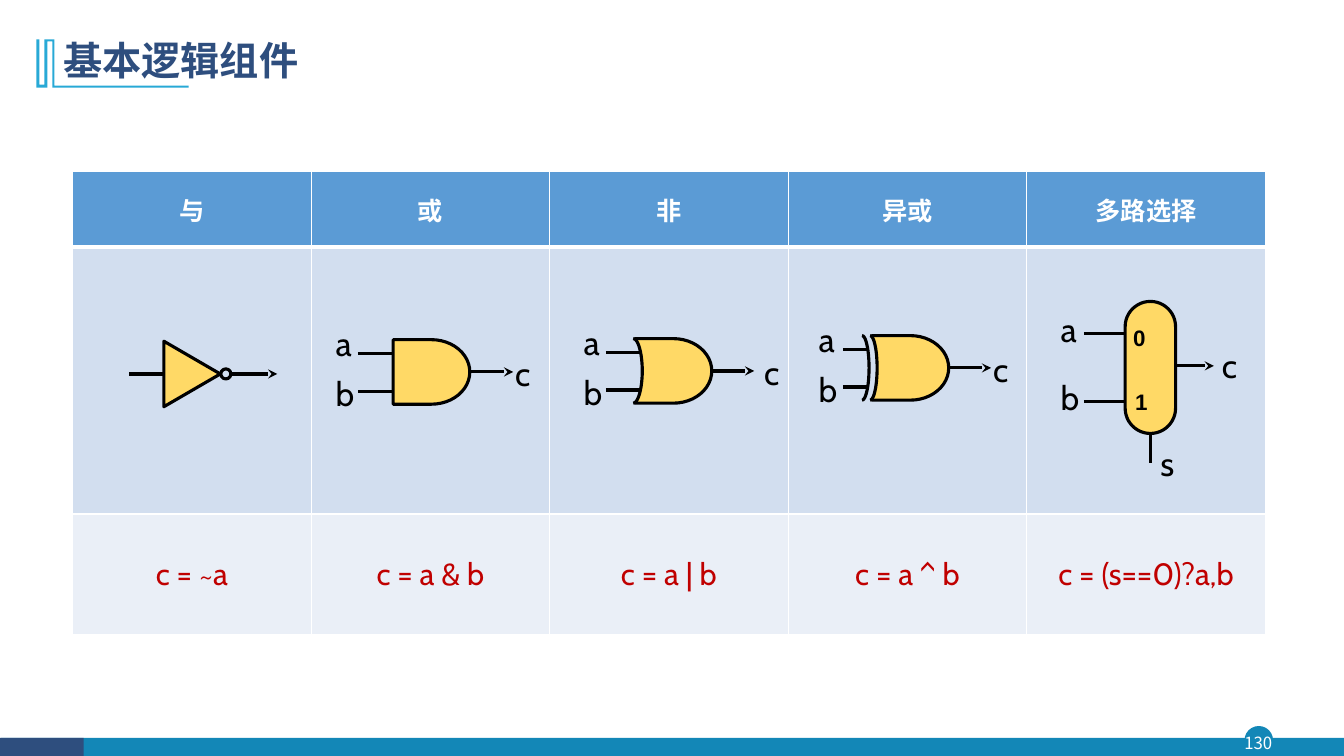
from math import cos, pi, sin

from lxml.etree import SubElement
from pptx import Presentation
from pptx.dml.color import RGBColor
from pptx.enum.shapes import MSO_CONNECTOR, MSO_SHAPE
from pptx.enum.text import MSO_ANCHOR, MSO_AUTO_SIZE, PP_ALIGN
from pptx.oxml.ns import qn
from pptx.util import Pt

PX = 9144
SANS, CABIN, ARIAL = "Noto Sans CJK SC", "Cabin", "Arial"
BLACK = RGBColor(0x00, 0x00, 0x00)
WHITE = RGBColor(0xFF, 0xFF, 0xFF)
TEAL = RGBColor(0x13, 0x87, 0xB7)
NAVY = RGBColor(0x2E, 0x4E, 0x7E)
CYAN = RGBColor(0x28, 0xA9, 0xD6)
HEADER = RGBColor(0x5B, 0x9B, 0xD5)
BAND = RGBColor(0xD2, 0xDE, 0xEF)
PALE = RGBColor(0xEA, 0xEF, 0xF7)
RED = RGBColor(0xC0, 0x00, 0x00)
GOLD = RGBColor(0xFF, 0xD9, 0x66)

ICON = [(54, 39), (54, 85), (187, 85), (187, 87), (52, 87), (52, 41), (47, 41),
        (47, 87), (36, 87), (36, 39), (39, 39), (39, 84), (44, 84), (44, 39)]
COLUMNS = [("与", "c = ~a"), ("或", "c = a & b"), ("非", "c = a | b"),
           ("异或", "c = a ^ b"), ("多路选择", "c = (s==0)?a,b")]
LABEL_WIDTHS = {"a": 38, "b": 41, "s": 35}


def style(p, size, name, color, bold=False, align=None):
    f = p.font
    f.size, f.name, f.bold = Pt(size), name, bold
    f.color.rgb = color
    SubElement(p._p.pPr.defRPr, qn("a:ea"), typeface=name)
    if align is not None:
        p.alignment = align


def paint(sp, fill, line=None, width=2.25):
    sp.shadow.inherit = False
    if fill is None:
        sp.fill.background()
    else:
        sp.fill.solid()
        sp.fill.fore_color.rgb = fill
    if line is None:
        sp.line.fill.background()
    else:
        sp.line.color.rgb = line
        sp.line.width = Pt(width)


def shape(s, kind, x, y, w, h, fill, line=None, width=2.25):
    sp = s.shapes.add_shape(kind, x * PX, y * PX, w * PX, h * PX)
    paint(sp, fill, line, width)
    return sp


def text(s, x, y, w, h, words, size, name, color, bold=False, align=None,
         inset=True, wrap=True, spacing=None, anchor=MSO_ANCHOR.TOP, grow=False):
    tf = s.shapes.add_textbox(x * PX, y * PX, w * PX, h * PX).text_frame
    tf.word_wrap = wrap
    tf.vertical_anchor = anchor
    if grow:
        tf.auto_size = MSO_AUTO_SIZE.SHAPE_TO_FIT_TEXT
    if not inset:
        tf.margin_left = tf.margin_top = tf.margin_right = tf.margin_bottom = 0
    p = tf.paragraphs[0]
    p.text = words
    if spacing:
        p.line_spacing = spacing
    style(p, size, name, color, bold, align)


def label(s, x, y, letter):
    text(s, x, y, LABEL_WIDTHS[letter], 50, letter, 24, CABIN, BLACK,
         wrap=False, grow=True)


def output_label(s, x, y):
    text(s, x, y, 20, 44, "c", 24, CABIN, BLACK, inset=False, spacing=1.2, grow=True)


def digit(s, x, y, value):
    text(s, x, y, 20, 29, value, 16, ARIAL, BLACK, True, PP_ALIGN.CENTER,
         inset=False, spacing=1.2, grow=True)


def wire(s, x1, y1, x2, y2, arrow=False, source=None, side=3):
    c = s.shapes.add_connector(MSO_CONNECTOR.STRAIGHT,
                               x1 * PX, y1 * PX, x2 * PX, y2 * PX)
    c.line.color.rgb = BLACK
    c.line.width = Pt(2.25)
    if arrow:
        SubElement(c.line._get_or_add_ln(), qn("a:tailEnd"), type="stealth")
    SubElement(c._element.spPr, qn("a:effectLst"))
    if source is not None:
        c.begin_connect(source, side)


def back_curve(s, x, y, w, h, steps=24):
    angles = [pi * i / steps for i in range(steps + 1)]
    points = [((x + w * sin(t)) * PX, (y + h * (1 - cos(t)) / 2) * PX) for t in angles]
    fb = s.shapes.build_freeform(*points[0])
    fb.add_line_segments(points[1:], close=False)
    paint(fb.convert_to_shape(), BAND, BLACK)


def frame(s):
    shape(s, MSO_SHAPE.OVAL, 1235, 721, 27, 27, TEAL, TEAL, 1)
    shape(s, MSO_SHAPE.RECTANGLE, 1, 732, 1332, 19, TEAL)
    shape(s, MSO_SHAPE.RECTANGLE, 0, 732, 83, 19, NAVY)
    text(s, 1232, 721, 32, 31, "130", 12, SANS, WHITE, align=PP_ALIGN.CENTER,
         inset=False, anchor=MSO_ANCHOR.MIDDLE)
    fb = s.shapes.build_freeform(*ICON[0], scale=PX)
    fb.add_line_segments(ICON[1:])
    paint(fb.convert_to_shape(), CYAN)
    text(s, 53, 28, 310, 68, "基本逻辑组件", 28, SANS, NAVY, True,
         spacing=0.9, anchor=MSO_ANCHOR.MIDDLE)


def border(cell, widths):
    tcPr = cell._tc.get_or_add_tcPr()
    for side, width in zip("LRTB", widths):
        ln = SubElement(tcPr, qn("a:ln" + side), w=str(Pt(width)))
        SubElement(SubElement(ln, qn("a:solidFill")), qn("a:srgbClr"), val=str(WHITE))


def logic_table(s):
    table = s.shapes.add_table(3, len(COLUMNS), 72 * PX, 170 * PX,
                               1183 * PX, 460 * PX).table
    for row, height in zip(table.rows, (75, 265, 120)):
        row.height = height * PX
    for col, (name, formula) in enumerate(COLUMNS):
        rows = [(name, HEADER, (18, SANS, WHITE, True), (1, 1, 1, 3)),
                ("", BAND, None, (1, 1, 3, 1)),
                (formula, PALE, (22, CABIN, RED, False), (1, 1, 1, 1))]
        for row, (words, fill, font, widths) in enumerate(rows):
            cell = table.cell(row, col)
            border(cell, widths)
            cell.fill.solid()
            cell.fill.fore_color.rgb = fill
            cell.vertical_anchor = MSO_ANCHOR.MIDDLE
            if words:
                p = cell.text_frame.paragraphs[0]
                p.text = words
                style(p, *font, align=PP_ALIGN.CENTER)


def inverter(s):
    wire(s, 128, 371, 163, 371)
    wire(s, 229, 371, 275, 371, arrow=True)
    shape(s, MSO_SHAPE.OVAL, 219, 366, 10, 10, None, BLACK)
    sp = shape(s, MSO_SHAPE.ISOSCELES_TRIANGLE, 158, 343, 65, 56, GOLD, BLACK)
    sp.rotation = 90


def gate(s, x, y, label_x, wire_from, wire_to, out_to, c_x, backs=()):
    body = shape(s, MSO_SHAPE.FLOWCHART_DELAY, x, y, 76, 64, GOLD, BLACK)
    for back_x, back_w in backs:
        back_curve(s, back_x, y, back_w, 64)
    for letter, wire_dy, label_dy in (("a", 14, -22), ("b", 51, 28)):
        wire(s, wire_from, y + wire_dy, wire_to, y + wire_dy)
        label(s, label_x, y + label_dy, letter)
    wire(s, x + 76, y + 32, out_to, y + 32, arrow=True, source=body)
    output_label(s, c_x, y + 5)


def multiplexer(s):
    body = shape(s, MSO_SHAPE.ROUNDED_RECTANGLE, 1116, 299, 50, 131, GOLD, BLACK)
    body.adjustments[0] = 0.5
    for letter, y in (("a", 331), ("b", 398)):
        wire(s, 1075, y, 1116, y)
        label(s, 1042, y - 29, letter)
    digit(s, 1120, 316, "0")
    digit(s, 1122, 380, "1")
    wire(s, 1166, 363, 1204, 363, arrow=True)
    output_label(s, 1212, 334)
    wire(s, 1141, 430, 1141, 459, source=body, side=2)
    label(s, 1141, 434, "s")


def main():
    prs = Presentation()
    prs.slide_width, prs.slide_height = 1333 * PX, 750 * PX
    s = prs.slides.add_slide(prs.slide_layouts[6])
    frame(s)
    logic_table(s)
    inverter(s)
    gate(s, 390, 337, 323, 355, 390, 509, 511)
    gate(s, 630, 336, 569, 601, 636, 748, 758, [(628, 9)])
    gate(s, 865, 333, 802, 836, 861, 983, 985, [(863, 7), (855, 7)])
    multiplexer(s)
    prs.save("out.pptx")


if __name__ == "__main__":
    main()
